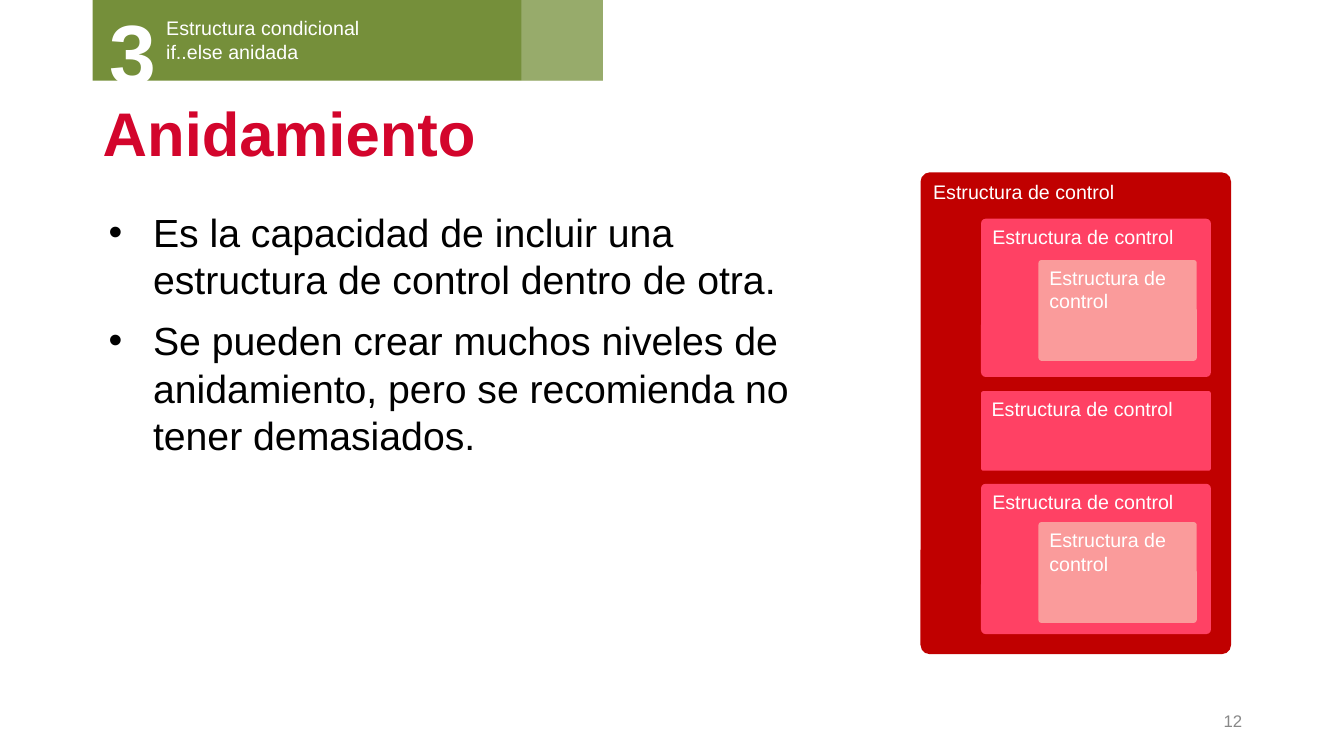
from lxml.etree import SubElement
from pptx import Presentation
from pptx.dml.color import RGBColor
from pptx.enum.shapes import MSO_SHAPE
from pptx.enum.text import MSO_ANCHOR, PP_ALIGN
from pptx.oxml.ns import qn
from pptx.util import Inches, Pt

COLORS = {
    "white": "FFFFFF", "black": "000000", "green": "758F3A", "title": "D3052C",
    "gray": "888888", "outer": "C00000", "middle": "FF4164", "inner": "FA9B9B",
}
FONT = "Arial"

SECTION_NUMBER = "3"
SECTION_NAME = "Estructura condicional\nif..else anidada"
TITLE = "Anidamiento"
BULLETS = [
    "Es la capacidad de incluir una estructura de control dentro de otra.",
    "Se pueden crear muchos niveles de anidamiento, pero se recomienda no tener demasiados.",
]
PAGE_NUMBER = "12"
BLOCK_LABEL = "Estructura de control"

# Left edge and width of each nesting level
LEVELS = {"outer": (9.13, 3.08), "middle": (9.73, 2.28), "inner": (10.3, 1.57)}
# Level, top and height of each block, from back to front
BLOCKS = [
    ("outer", 1.71, 4.78),
    ("middle", 2.17, 1.57),
    ("inner", 2.58, 1),
    ("middle", 3.88, 0.79),
    ("middle", 4.8, 1.49),
    ("inner", 5.18, 1),
]
CORNER = 0.03

presentation = Presentation()
presentation.slide_width = Inches(13.33)
presentation.slide_height = Inches(7.5)
slide = presentation.slides.add_slide(presentation.slide_layouts[6])


def write(shape, lines, size, color, bold=False, align=PP_ALIGN.LEFT, anchor=MSO_ANCHOR.TOP):
    frame = shape.text_frame
    frame.word_wrap = True
    frame.vertical_anchor = anchor
    for index, line in enumerate(lines):
        paragraph = frame.add_paragraph() if index else frame.paragraphs[0]
        paragraph.text = line
        paragraph.alignment = align
        for run in paragraph.runs:
            run.font.name = FONT
            run.font.size = Pt(size)
            run.font.bold = bold
            run.font.color.rgb = RGBColor.from_string(COLORS[color])
    return frame.paragraphs


def add_text(box, lines, size, color, **style):
    textbox = slide.shapes.add_textbox(*map(Inches, box))
    return write(textbox, lines, size, color, **style)


def add_block(kind, box, color):
    shape = slide.shapes.add_shape(kind, *map(Inches, box))
    shape.shadow.inherit = False
    shape.fill.solid()
    shape.fill.fore_color.rgb = RGBColor.from_string(COLORS[color])
    shape.line.fill.background()
    return shape


# Section banner
add_block(MSO_SHAPE.RECTANGLE, (0.92, 0, 5.06, 0.8), "green")
add_text((1.55, 0.11, 2.75, 0.57), [SECTION_NAME], 14, "white")
add_text((0.99, -0.04, 1.12, 1.11), [SECTION_NUMBER], 60, "white", bold=True)
banner_end = add_block(MSO_SHAPE.RECTANGLE, (5.17, 0, 0.81, 0.8), "white")
fill_color = banner_end.fill._xPr.find(qn("a:solidFill"))[0]
SubElement(fill_color, qn("a:alpha")).set("val", "25000")

# Title and page number
title = add_text((0.92, 0.93, 11.5, 0.86), [TITLE], 44, "title", bold=True,
                 anchor=MSO_ANCHOR.MIDDLE)
title[0].line_spacing = 0.9
add_text((9.42, 6.95, 3, 0.4), [PAGE_NUMBER], 12, "gray",
         align=PP_ALIGN.RIGHT, anchor=MSO_ANCHOR.MIDDLE)

# Bulleted text
bullets = add_text((0.92, 2.02, 7.27, 4.78), BULLETS, 28, "black")
for index, paragraph in enumerate(bullets):
    paragraph.space_before = Pt(10 if index else 0)
    properties = paragraph._p.get_or_add_pPr()
    properties.set("marL", str(Inches(0.5)))
    properties.set("indent", str(Inches(-0.44)))
    SubElement(properties, qn("a:buFont")).set("typeface", FONT)
    SubElement(properties, qn("a:buChar")).set("char", "•")

# Nested control structures
for level, top, height in BLOCKS:
    left, width = LEVELS[level]
    block = add_block(MSO_SHAPE.ROUNDED_RECTANGLE, (left, top, width, height), level)
    block.adjustments[0] = CORNER
    write(block, [BLOCK_LABEL], 14, "white")

presentation.save("out.pptx")
